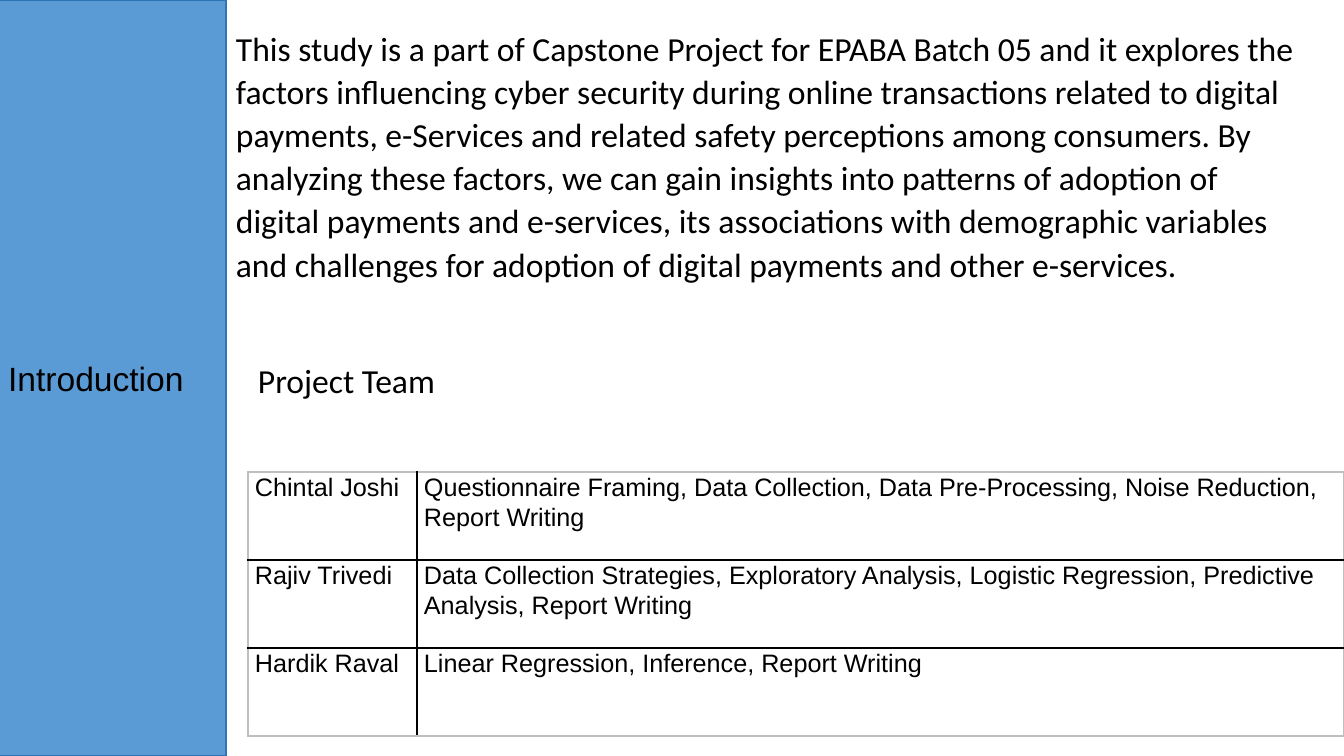
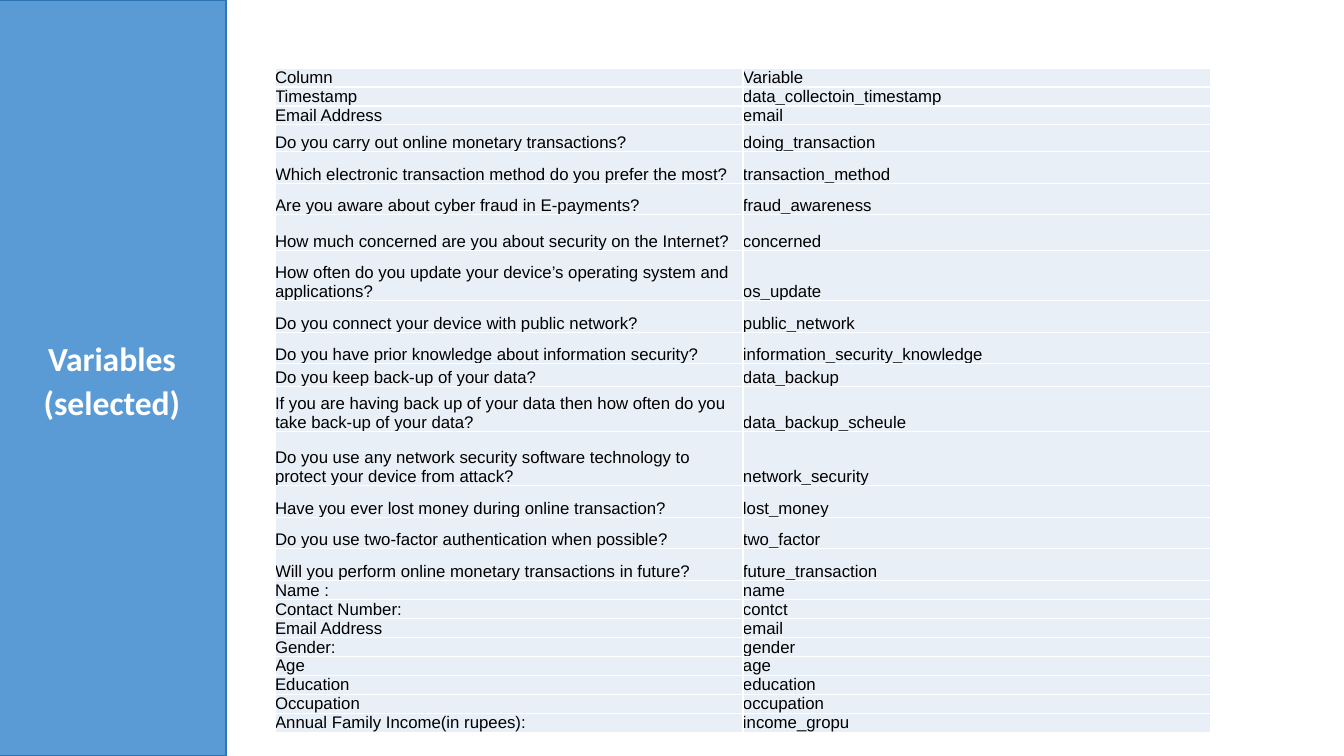
"""Build the introduction and variables slides with a shared side band."""
from lxml import etree
from pptx import Presentation
from pptx.dml.color import RGBColor
from pptx.enum.text import MSO_ANCHOR, MSO_AUTO_SIZE, PP_ALIGN
from pptx.oxml.ns import qn
from pptx.util import Pt

EMU_PER_INCH, PX_PER_INCH = 914400, 100.8
WIDTH, HEIGHT = 1344, 756
TITLE_ONLY = 5
LEFT, CENTER = PP_ALIGN.LEFT, PP_ALIGN.CENTER
TOP, MIDDLE, BOTTOM = MSO_ANCHOR.TOP, MSO_ANCHOR.MIDDLE, MSO_ANCHOR.BOTTOM
NO_AUTOFIT, GROW = MSO_AUTO_SIZE.NONE, MSO_AUTO_SIZE.SHAPE_TO_FIT_TEXT

COLORS = {
    "band": "5B9BD5",
    "band_line": "2E75B5",
    "text": "000000",
    "white": "FFFFFF",
    "cell": "E9EFF7",
    "grid": "000000",
    "frame": "BFBFBF",
}
BAND_BOX = (-2, 0, 228, HEIGHT)

STUDY = (
    "This study is a part of Capstone Project for EPABA Batch 05 and it explores the factors "
    "influencing cyber security during online transactions related to digital payments, "
    "e-Services and related safety perceptions among consumers. By analyzing these factors, "
    "we can gain insights into patterns of adoption of digital payments and e-services, its "
    "associations with demographic variables and challenges for adoption of digital payments "
    "and other e-services."
)
TEAM = [
    ("Chintal Joshi", "Questionnaire Framing, Data Collection, Data Pre-Processing, "
                      "Noise Reduction, Report Writing"),
    ("Rajiv Trivedi", "Data Collection Strategies, Exploratory Analysis, Logistic Regression, "
                      "Predictive Analysis, Report Writing"),
    ("Hardik Raval", "Linear Regression, Inference, Report Writing"),
]
VARIABLES = [
    (19, "Column", "Variable"),
    (19, "Timestamp", "data_collectoin_timestamp"),
    (19, "Email Address", "email"),
    (27, "Do you carry out online monetary transactions?", "doing_transaction"),
    (32, "Which electronic transaction method do you prefer the most?", "transaction_method"),
    (31, "Are you aware about cyber fraud in E-payments?", "fraud_awareness"),
    (36, "How much concerned are you about security on the Internet?", "concerned"),
    (50, "How often do you update your device’s operating system and applications?",
     "os_update"),
    (32, "Do you connect your device with public network?", "public_network"),
    (31, "Do you have prior knowledge about information security?",
     "information_security_knowledge"),
    (23, "Do you keep back-up of your data?", "data_backup"),
    (45, "If you are having back up of your data then how often do you take back-up of "
         "your data?", "data_backup_scheule"),
    (54, "Do you use any network security software technology to protect your device from "
         "attack?", "network_security"),
    (32, "Have you ever lost money during online transaction?", "lost_money"),
    (31, "Do you use two-factor authentication when possible?", "two_factor"),
    (32, "Will you perform online monetary transactions in future?", "future_transaction"),
    (19, "Name :", "name"),
    (19, "Contact Number:", "contct"),
    (19, "Email Address", "email"),
    (19, "Gender:", "gender"),
    (19, "Age", "age"),
    (19, "Education", "education"),
    (19, "Occupation", "occupation"),
    (19, "Annual Family Income(in rupees):", "income_gropu"),
]


def px(length):
    """Turn px into EMU."""
    return round(length * EMU_PER_INCH / PX_PER_INCH)


def rgb(name):
    """Look up a named colour."""
    return RGBColor.from_string(COLORS[name])


def write(frame, text, size, font, color="text", bold=False, align=LEFT, spacing=1.0, after=0):
    """Write one formatted run into the first paragraph of a text frame."""
    frame.word_wrap = True
    paragraph = frame.paragraphs[0]
    paragraph.alignment = align
    paragraph.line_spacing = spacing
    paragraph.space_before = Pt(0)
    paragraph.space_after = Pt(after)
    run = paragraph.add_run()
    run.text = text
    run.font.size = Pt(size)
    run.font.name = font
    run.font.bold = bold
    run.font.color.rgb = rgb(color)


def add_band_slide(presentation, title, **style):
    """Add a slide whose title fills the band on the left."""
    slide = presentation.slides.add_slide(presentation.slide_layouts[TITLE_ONLY])
    band = slide.shapes.title
    band.left, band.top, band.width, band.height = map(px, BAND_BOX)
    band.fill.solid()
    band.fill.fore_color.rgb = rgb("band")
    band.line.color.rgb = rgb("band_line")
    band.line.width = Pt(1)
    band.text_frame.auto_size = NO_AUTOFIT
    band.text_frame.vertical_anchor = MIDDLE
    write(band.text_frame, title, 24, **style)
    return slide


def add_text(slide, box, text):
    """Add a body text box that grows with its text."""
    frame = slide.shapes.add_textbox(*map(px, box)).text_frame
    frame.auto_size = GROW
    write(frame, text, 24, "Calibri", spacing=1.07, after=8)


def set_borders(cell, colors):
    """Draw the left, right, top and bottom borders of a cell in the given colours."""
    properties = cell._tc.get_or_add_tcPr()
    for index, (side, color) in enumerate(zip("LRTB", colors)):
        line = etree.Element(qn(f"a:ln{side}"), w=str(Pt(1)))
        fill = etree.SubElement(line, qn("a:solidFill"))
        etree.SubElement(fill, qn("a:srgbClr"), val=COLORS[color])
        properties.insert(index, line)


def add_grid(slide, left, top, widths, heights, rows, size, inset, anchor, grid, frame,
             fill=None, **style):
    """Add a table with inner grid lines, an outer frame and uniform cells."""
    box = (left, top, sum(widths), sum(heights))
    table = slide.shapes.add_table(len(rows), len(widths), *map(px, box)).table
    table.first_row = table.horz_banding = False
    for column, width in zip(table.columns, widths):
        column.width = px(width)
    for row, height in zip(table.rows, heights):
        row.height = px(height)
    last_row, last_column = len(rows) - 1, len(widths) - 1
    for row_index, texts in enumerate(rows):
        for column_index, text in enumerate(texts):
            cell = table.cell(row_index, column_index)
            cell.margin_left = cell.margin_right = px(inset)
            cell.margin_top = cell.margin_bottom = 0
            cell.vertical_anchor = anchor
            if fill:
                cell.fill.solid()
                cell.fill.fore_color.rgb = rgb(fill)
            else:
                cell.fill.background()
            outer = (column_index == 0, column_index == last_column,
                     row_index == 0, row_index == last_row)
            set_borders(cell, [frame if edge else grid for edge in outer])
            write(cell.text_frame, text, size, "Arial", **style)


def build_introduction(presentation):
    """Build the slide with the study summary and the project team."""
    slide = add_band_slide(presentation, "Introduction", font="Arial")
    add_text(slide, (226, 20, 1087, 269), STUDY)
    add_text(slide, (248, 352, 1087, 51), "Project Team")
    add_grid(slide, 248, 472, (169, 927), [88] * len(TEAM), TEAM, 18, 7, TOP,
             "grid", "frame", spacing=1.07, after=8)


def build_variables(presentation):
    """Build the slide that maps survey questions to variable names."""
    slide = add_band_slide(presentation, "Variables (selected)", font="Calibri",
                           color="white", bold=True, align=CENTER, spacing=1.1)
    heights = [height for height, *_ in VARIABLES]
    rows = [texts for _, *texts in VARIABLES]
    add_grid(slide, 275, 68, (468, 468), heights, rows, 12, 0, BOTTOM,
             "white", "white", fill="cell")


def main():
    """Build and save the presentation."""
    presentation = Presentation()
    presentation.slide_width, presentation.slide_height = px(WIDTH), px(HEIGHT)
    build_introduction(presentation)
    build_variables(presentation)
    presentation.save("out.pptx")


if __name__ == "__main__":
    main()
